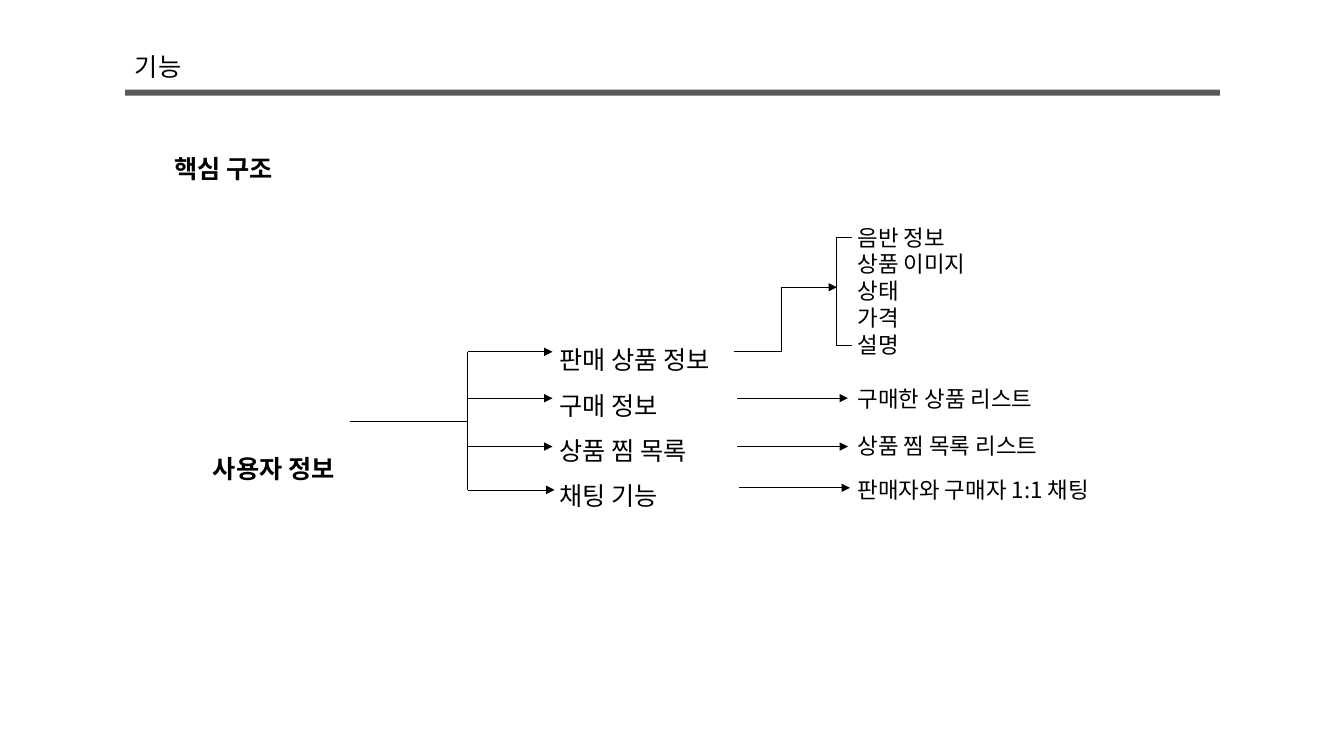
import pptx
import pptx.util
import pptx.dml.color
import pptx.enum.shapes
import pptx.enum.text
import pptx.oxml
import pptx.oxml.ns
import lxml.etree

Inches = pptx.util.Inches
FONT = "Noto Sans CJK KR"

presentation = pptx.Presentation()
presentation.slide_width = Inches(13.33)
presentation.slide_height = Inches(7.5)
slide = presentation.slides.add_slide(presentation.slide_layouts[6])


def color(value):
    return pptx.dml.color.RGBColor.from_string(value)


def add_text(text, left, top, width, height, size=18, bold=False, centered=False, spacing=None):
    shape = slide.shapes.add_textbox(Inches(left), Inches(top), Inches(width), Inches(height))
    frame = shape.text_frame
    frame.word_wrap = False
    frame.auto_size = pptx.enum.text.MSO_AUTO_SIZE.SHAPE_TO_FIT_TEXT
    frame.text = text
    for paragraph in frame.paragraphs:
        if centered:
            paragraph.alignment = pptx.enum.text.PP_ALIGN.CENTER
        if spacing:
            paragraph.line_spacing = spacing
        for run in paragraph.runs:
            run.font.size = pptx.util.Pt(size)
            run.font.bold = bold
            run.font.name = FONT
            run.font.color.rgb = color("000000")
            east_asian = lxml.etree.SubElement(run.font._element, pptx.oxml.ns.qn("a:ea"))
            east_asian.set("typeface", FONT)


add_text("기능", 1.24, 0.46, 0.71, 0.4)
rule = slide.shapes.add_shape(
    pptx.enum.shapes.MSO_SHAPE.RECTANGLE, Inches(1.24), Inches(0.89), Inches(10.86), Inches(0.06)
)
rule.shadow.inherit = False
rule.fill.solid()
rule.fill.fore_color.rgb = color("595959")
rule.line.fill.background()

add_text("핵심 구조", 1.63, 1.47, 1.3, 0.4, bold=True)
add_text("사용자 정보", 1.94, 4.45, 1.55, 0.4, bold=True, centered=True)
add_text("판매 상품 정보\n구매 정보\n상품 찜 목록\n채팅 기능", 5.45, 3.22, 1.9, 1.86, spacing=1.5)
add_text("음반 정보\n상품 이미지\n상태\n가격\n설명", 8.41, 2.17, 1.4, 1.45, size=16)
for text, top, width in [
    ("구매한 상품 리스트", 3.77, 2.15),
    ("상품 찜 목록 리스트", 4.24, 2.23),
    ("판매자와 구매자 1:1 채팅", 4.67, 2.76),
]:
    add_text(text, 8.41, top, width, 0.37, size=16)

trunk, elbow, bracket = 4.64, 7.75, 8.3
plain_lines = [
    (3.47, 4.18, trunk, 4.18),
    (trunk, 3.49, trunk, 4.86),
    (7.28, 3.49, elbow, 3.49),
    (elbow, 3.49, elbow, 2.85),
    (bracket, 2.35, bracket, 3.43),
    (bracket, 2.35, 8.45, 2.35),
    (bracket, 3.43, 8.45, 3.43),
]
arrows = [
    (trunk, 3.49, 5.48, 3.49),
    (trunk, 3.95, 5.48, 3.95),
    (trunk, 4.43, 5.48, 4.43),
    (trunk, 4.86, 5.5, 4.86),
    (elbow, 2.85, bracket, 2.85),
    (7.31, 3.95, 8.41, 3.95),
    (7.31, 4.43, 8.41, 4.43),
    (7.33, 4.84, 8.43, 4.84),
]
for points in plain_lines + arrows:
    connector = slide.shapes.add_connector(
        pptx.enum.shapes.MSO_CONNECTOR.STRAIGHT, *[Inches(value) for value in points]
    )
    connector.line.color.rgb = color("000000")
    connector.line.width = pptx.util.Pt(0.5)
    properties = connector._element.spPr
    if points in arrows:
        outline = properties.find(pptx.oxml.ns.qn("a:ln"))
        lxml.etree.SubElement(outline, pptx.oxml.ns.qn("a:tailEnd")).set("type", "triangle")
    lxml.etree.SubElement(properties, pptx.oxml.ns.qn("a:effectLst"))

presentation.save("out.pptx")
